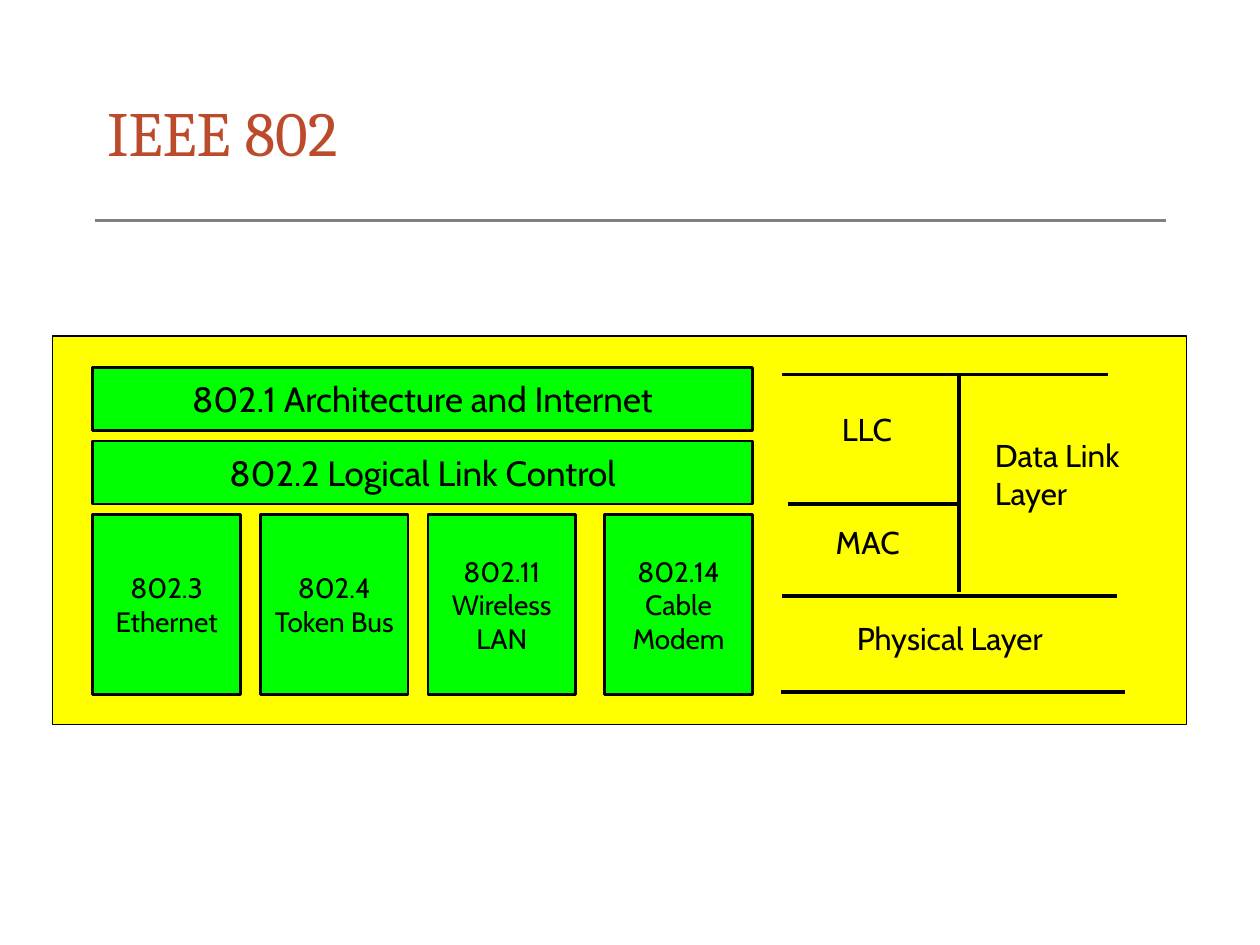
from lxml import etree
from pptx import Presentation
from pptx.dml.color import RGBColor
from pptx.enum.shapes import MSO_CONNECTOR, MSO_SHAPE
from pptx.enum.text import MSO_ANCHOR, MSO_AUTO_SIZE, PP_ALIGN
from pptx.oxml.ns import qn
from pptx.util import Pt

BLACK, GREY, RUST = "000000", "808080", "BC4B2C"
YELLOW, GREEN = "FFFF00", "00FF00"
BODY_FONT, TITLE_FONT = "Cabin", "Cambria"


def rgb(color):
    return RGBColor.from_string(color)


def write(tf, text, size, align, color=BLACK, font=BODY_FONT):
    """Fill a text frame, one paragraph for each line of text."""
    tf.text = text
    for p in tf.paragraphs:
        p.alignment = align
        p.font.size = Pt(size)
        p.font.name = font
        p.font.color.rgb = rgb(color)


def add_box(slide, x, y, w, h, fill, weight):
    sp = slide.shapes.add_shape(MSO_SHAPE.RECTANGLE, Pt(x), Pt(y), Pt(w), Pt(h))
    sp.shadow.inherit = False
    sp.fill.solid()
    sp.fill.fore_color.rgb = rgb(fill)
    sp.line.color.rgb = rgb(BLACK)
    sp.line.width = Pt(weight)
    return sp


def add_standard(slide, x, y, w, h, text, size):
    sp = add_box(slide, x, y, w, h, GREEN, 1.5)
    tf = sp.text_frame
    tf.word_wrap = False
    tf.vertical_anchor = MSO_ANCHOR.MIDDLE
    write(tf, text, size, PP_ALIGN.CENTER)


def add_line(slide, x1, y1, x2, y2, color=BLACK, weight=2.25):
    line = slide.shapes.add_connector(
        MSO_CONNECTOR.STRAIGHT, Pt(x1), Pt(y1), Pt(x2), Pt(y2))
    line.line.color.rgb = rgb(color)
    line.line.width = Pt(weight)
    etree.SubElement(line._element.spPr, qn("a:effectLst"))


def add_label(slide, x, y, w, h, text):
    tf = slide.shapes.add_textbox(Pt(x), Pt(y), Pt(w), Pt(h)).text_frame
    tf.word_wrap = False
    tf.auto_size = MSO_AUTO_SIZE.SHAPE_TO_FIT_TEXT
    write(tf, text, 18, PP_ALIGN.LEFT)


def add_heading(slide, x, y, w, h, text):
    """Place the title and the rule below it."""
    title = slide.shapes.title
    title.left, title.top, title.width, title.height = Pt(x), Pt(y), Pt(w), Pt(h)
    tf = title.text_frame
    tf.vertical_anchor = MSO_ANCHOR.MIDDLE
    write(tf, text, 36, PP_ALIGN.LEFT, RUST, TITLE_FONT)
    rule_y = y + h + 12
    add_line(slide, x, rule_y, x + w, rule_y, GREY, 2)


def add_standards(slide, x, y, w, h):
    """Stack the two full-width standards above the row of media standards."""
    bar_h, gap = 36, 6
    bars = ["802.1 Architecture and Internet", "802.2 Logical Link Control"]
    for i, text in enumerate(bars):
        add_standard(slide, x, y + i * (bar_h + gap), w, bar_h, text, 20)

    media_top = len(bars) * (bar_h + gap)
    media_w, pitch = 84.5, 95.75
    media = [
        (0, "802.3\nEthernet"),
        (pitch, "802.4\nToken Bus"),
        (2 * pitch, "802.11\nWireless\nLAN"),
        (w - media_w, "802.14\nCable\nModem"),
    ]
    for dx, text in media:
        add_standard(slide, x + dx, y + media_top, media_w, h - media_top, text, 16)


def add_layers(slide, x, y, w, h):
    """Draw the layer names and the lines that divide them."""
    divider, llc_bottom, link_bottom = 101.5, 74, 126.5
    for x1, x2, dy in [(0.5, 186.5, 0), (3.5, divider, llc_bottom),
                       (0.5, 192, link_bottom), (0, w, h)]:
        add_line(slide, x + x1, y + dy, x + x2, y + dy)
    add_line(slide, x + divider, y, x + divider, y + link_bottom - 2)

    for dx, dy, label_w, label_h, text in [
        (27.5, 16.5, 44.5, 29, "LLC"),
        (24, 81.5, 53, 29, "MAC"),
        (115, 31.5, 93.5, 50.5, "Data Link\nLayer"),
        (36, 136, 133, 29, "Physical Layer"),
    ]:
        add_label(slide, x + dx, y + dy, label_w, label_h, text)


def add_diagram(slide, x, y, w, h):
    add_box(slide, x, y, w, h, YELLOW, 0.75)
    add_standards(slide, x + 23, y + 18, 377, h - 35)
    add_layers(slide, x + 416.5, y + 22, 196.5, 181.5)


def main():
    prs = Presentation()
    prs.slide_width, prs.slide_height = Pt(720), Pt(540)
    slide = prs.slides.add_slide(prs.slide_layouts[5])
    add_heading(slide, 54, 36, 612, 78, "IEEE 802")
    add_diagram(slide, 30, 192, 648, 222)
    prs.save("out.pptx")


if __name__ == "__main__":
    main()
